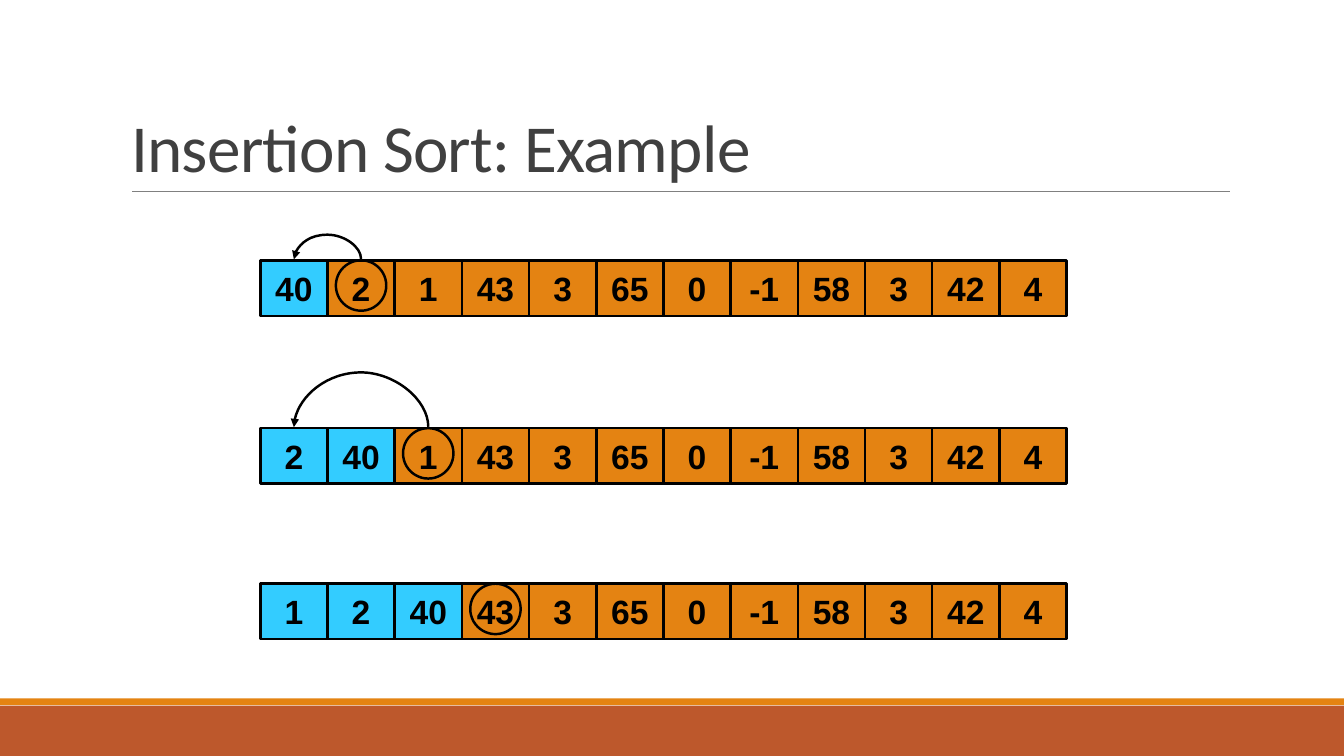
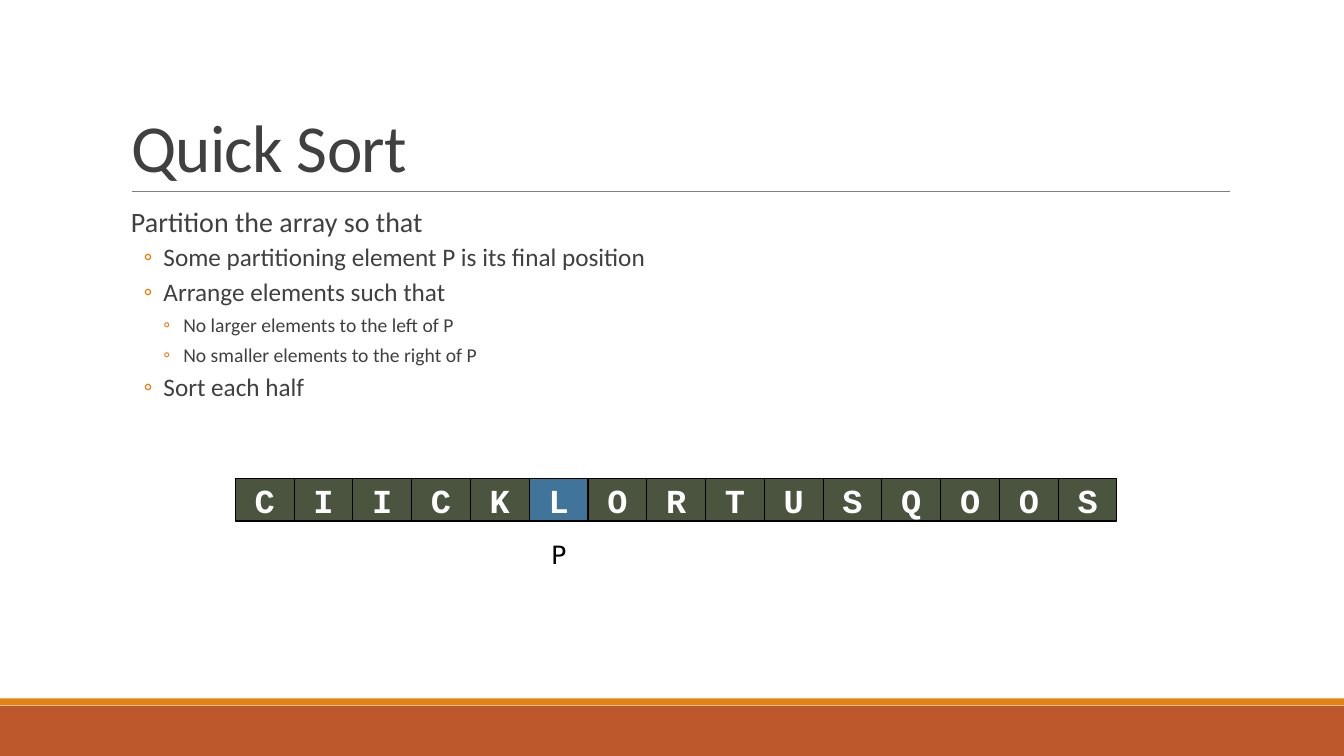
from dataclasses import dataclass

from lxml import etree
from pptx import Presentation
from pptx import util as u
from pptx.dml.color import RGBColor
from pptx.enum import shapes, text
from pptx.oxml.ns import qn
from pptx.slide import Slide


@dataclass(frozen=True)
class Theme:
    ink: str = "404040"
    black: str = "000000"
    white: str = "FFFFFF"
    rule: str = "808080"
    band: str = "BD582C"
    accent: str = "E48312"
    sorted_cell: str = "33CCFF"
    letter_cell: str = "4A543E"
    pivot_cell: str = "40749B"
    font: str = "Calibri"
    number_font: str = "Arial"
    letter_font: str = "Courier New"
    label_font: str = "DejaVu Sans"
    title_size: int = 48
    cell_size: int = 24
    label_size: int = 18
    body_sizes: tuple[int, ...] = (20, 18, 14)


T = Theme()


@dataclass(frozen=True)
class RowStyle:
    left: float
    width: float
    height: float
    line: float
    fill: str
    marked_fill: str
    color: str
    font: str


@dataclass(frozen=True)
class Step:
    top: float
    values: str
    sorted_count: int
    rise: float = 0


@dataclass(frozen=True)
class Level:
    margin: float
    indent: float
    before: int
    after: int
    bullet: str = ""


NUMBERS = RowStyle(6.56, 20.32, 1.4, 1.75, T.accent, T.sorted_cell, T.black, T.number_font)
LETTERS = RowStyle(5.93, 22.22, 1.06, 0.75, T.letter_cell, T.pivot_cell, T.white, T.letter_font)

STEPS = (
    Step(6.56, "40 2 1 43 3 65 0 -1 58 3 42 4", 1, 0.61),
    Step(10.79, "2 40 1 43 3 65 0 -1 58 3 42 4", 2, 1.37),
    Step(14.71, "1 2 40 43 3 65 0 -1 58 3 42 4", 3),
)

LEVELS = (
    Level(0.25, 0, 0, 2),
    Level(1.07, -0.5, 2, 4, "◦"),
    Level(1.57, -0.5, 2, 4, "◦"),
)

PARTITION = (
    (0, "Partition the array so that"),
    (1, "Some partitioning element P is its final position"),
    (1, "Arrange elements such that"),
    (2, "No larger elements to the left of P"),
    (2, "No smaller elements to the right of P"),
    (1, "Sort each half"),
)


def rgb(color: str) -> RGBColor:
    return RGBColor.from_string(color)


def style_runs(p, size: int, color: str, font: str, bold: bool = False) -> None:
    for r in p.runs:
        r.font.size = u.Pt(size)
        r.font.color.rgb = rgb(color)
        r.font.name = font
        r.font.bold = bold


def place(sp, left: float, top: float, width: float, height: float) -> None:
    sp.left, sp.top, sp.width, sp.height = map(u.Cm, (left, top, width, height))


def add_box(s: Slide, kind, left: float, top: float, width: float, height: float,
            fill: str = "", line: float = 0):
    sp = s.shapes.add_shape(kind, *map(u.Cm, (left, top, width, height)))
    sp.shadow.inherit = False
    if fill:
        sp.fill.solid()
        sp.fill.fore_color.rgb = rgb(fill)
    else:
        sp.fill.background()
    if line:
        sp.line.color.rgb = rgb(T.black)
        sp.line.width = u.Pt(line)
    else:
        sp.line.fill.background()
    return sp


def add_line(s: Slide, kind, x1: float, y1: float, x2: float, y2: float,
             color: str, width: float):
    c = s.shapes.add_connector(kind, *map(u.Cm, (x1, y1, x2, y2)))
    c.line.color.rgb = rgb(color)
    c.line.width = u.Pt(width)
    etree.SubElement(c._element.spPr, qn("a:effectLst"))
    return c


def add_arc_arrow(s: Slide, start: float, end: float, y: float, rise: float) -> None:
    thin = 0.01
    mid, half = (start + end) / 2, (start - end) / 2
    c = add_line(s, shapes.MSO_CONNECTOR.CURVE, mid + thin / 2, y + half,
                 mid - thin / 2, y - half, T.black, NUMBERS.line)
    pr = c._element.spPr
    pr.find(qn("a:xfrm")).set("rot", "16200000")
    geom = pr.find(qn("a:prstGeom"))
    guides = geom.find(qn("a:avLst"))
    if guides is None:
        guides = etree.SubElement(geom, qn("a:avLst"))
    etree.SubElement(guides, qn("a:gd"), name="adj1",
                     fmla=f"val {round(-rise / thin * 100000)}")
    etree.SubElement(pr.find(qn("a:ln")), qn("a:tailEnd"), type="triangle")


def add_row(s: Slide, style: RowStyle, top: float, values: list[str], marked: range) -> None:
    cell = style.width / len(values)
    for i, value in enumerate(values):
        fill = style.marked_fill if i in marked else style.fill
        sp = add_box(s, shapes.MSO_SHAPE.RECTANGLE, style.left + i * cell, top,
                     cell, style.height, fill, style.line)
        tf = sp.text_frame
        tf.word_wrap = False
        tf.vertical_anchor = text.MSO_ANCHOR.MIDDLE
        p = tf.paragraphs[0]
        p.text = value
        p.alignment = text.PP_ALIGN.CENTER
        style_runs(p, T.cell_size, style.color, style.font, True)


def add_step(s: Slide, step: Step) -> None:
    values = step.values.split()
    add_row(s, NUMBERS, step.top, values, range(step.sorted_count))
    cell = NUMBERS.width / len(values)
    center = NUMBERS.left + (step.sorted_count + 0.5) * cell
    ring = 1.27
    add_box(s, shapes.MSO_SHAPE.OVAL, center - ring / 2, step.top, ring, ring,
            line=NUMBERS.line)
    if step.rise:
        add_arc_arrow(s, center, NUMBERS.left + cell / 2, step.top - 0.03, step.rise)


def add_slide(prs, layout: int, title: str) -> Slide:
    s = prs.slides.add_slide(prs.slide_layouts[layout])
    add_box(s, shapes.MSO_SHAPE.RECTANGLE, 0, 17.78, 33.87, 1.27, T.band)
    add_box(s, shapes.MSO_SHAPE.RECTANGLE, 0, 17.6, 33.87, 0.17, T.accent)
    add_line(s, shapes.MSO_CONNECTOR.STRAIGHT, 3.33, 4.82, 31, 4.82, T.rule, 0.5)
    sp = s.shapes.title
    place(sp, 3.05, 0.79, 27.94, 4.03)
    tf = sp.text_frame
    tf.text = title
    tf.auto_size = text.MSO_AUTO_SIZE.NONE
    tf.vertical_anchor = text.MSO_ANCHOR.BOTTOM
    p = tf.paragraphs[0]
    p.alignment = text.PP_ALIGN.LEFT
    p.line_spacing = 0.85
    style_runs(p, T.title_size, T.ink, T.font)
    p.runs[0].font._element.set("spc", "-50")
    return s


def set_bullet(p, level: Level) -> None:
    pr = p._p.get_or_add_pPr()
    pr.set("marL", str(u.Cm(level.margin)))
    pr.set("indent", str(u.Cm(level.indent)))
    if level.bullet:
        color = etree.SubElement(pr, qn("a:buClr"))
        etree.SubElement(color, qn("a:srgbClr"), val=T.accent)
        etree.SubElement(pr, qn("a:buFont"), typeface=T.font)
        etree.SubElement(pr, qn("a:buChar"), char=level.bullet)
    else:
        etree.SubElement(pr, qn("a:buNone"))


def fill_body(s: Slide, items: tuple[tuple[int, str], ...]) -> None:
    sp = s.placeholders[1]
    place(sp, 3.05, 5.13, 27.94, 11.18)
    tf = sp.text_frame
    tf.auto_size = text.MSO_AUTO_SIZE.NONE
    tf.margin_left = tf.margin_right = 0
    tf.text = "\n".join(item for _, item in items)
    for p, (depth, _) in zip(tf.paragraphs, items):
        level = LEVELS[depth]
        p.level = depth
        set_bullet(p, level)
        p.line_spacing = 0.9
        p.space_before = u.Pt(level.before)
        p.space_after = u.Pt(level.after)
        style_runs(p, T.body_sizes[depth], T.ink, T.font)


def insertion_slide(prs) -> None:
    s = add_slide(prs, 5, "Insertion Sort: Example")
    for step in STEPS:
        add_step(s, step)


def quick_slide(prs) -> None:
    s = add_slide(prs, 1, "Quick Sort")
    fill_body(s, PARTITION)
    pivot = 5
    add_row(s, LETTERS, 12.07, list("CIICKLORTUSQOOS"), range(pivot, pivot + 1))
    sp = s.shapes.add_textbox(*map(u.Cm, (13.64, 13.46, 0.89, 1.02)))
    tf = sp.text_frame
    tf.word_wrap = False
    tf.auto_size = text.MSO_AUTO_SIZE.SHAPE_TO_FIT_TEXT
    tf.text = "P"
    style_runs(tf.paragraphs[0], T.label_size, T.black, T.label_font)


def main() -> None:
    prs = Presentation()
    prs.slide_width, prs.slide_height = u.Cm(33.87), u.Cm(19.05)
    insertion_slide(prs)
    quick_slide(prs)
    prs.save("out.pptx")


if __name__ == "__main__":
    main()
